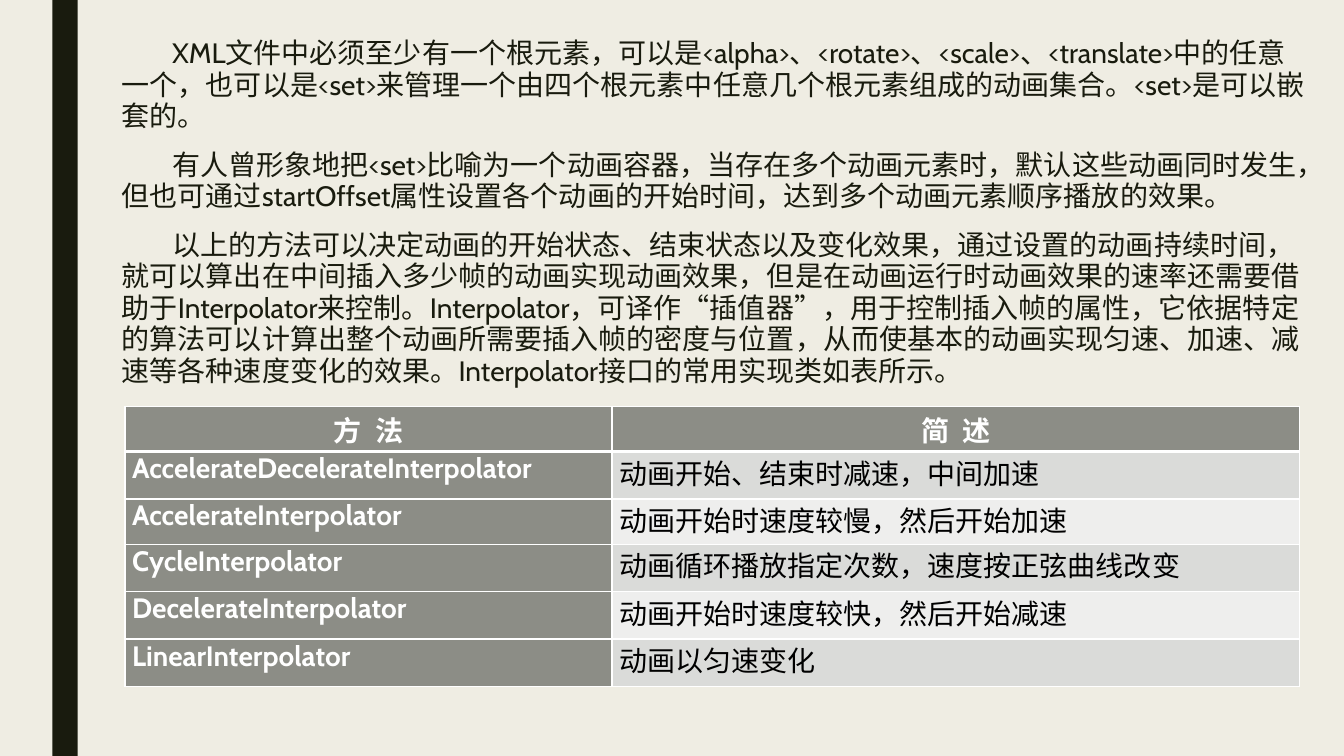
from lxml.etree import SubElement as add_sub
from pptx import Presentation
from pptx.dml.color import RGBColor
from pptx.enum.lang import MSO_LANGUAGE_ID as Lang
from pptx.enum.shapes import MSO_SHAPE as Kind
from pptx.enum.text import MSO_ANCHOR as Anchor, PP_ALIGN as Align
from pptx.oxml.ns import qn
from pptx.util import Inches, Pt

CREAM = RGBColor(0xEF, 0xED, 0xE3)
INK = RGBColor(0x19, 0x1B, 0x0E)
GRAY = RGBColor(0x8C, 0x8D, 0x86)
MID = RGBColor(0xDA, 0xDB, 0xD9)
PALE = RGBColor(0xEE, 0xEE, 0xED)
WHITE = RGBColor(0xFF, 0xFF, 0xFF)
BLACK = RGBColor(0, 0, 0)

NOTES = [
    "XML文件中必须至少有一个根元素，可以是<alpha>、<rotate>、<scale>、<translate>中的任意一个，"
    "也可以是<set>来管理一个由四个根元素中任意几个根元素组成的动画集合。<set>是可以嵌套的。",
    "有人曾形象地把<set>比喻为一个动画容器，当存在多个动画元素时，默认这些动画同时发生，"
    "但也可通过startOffset属性设置各个动画的开始时间，达到多个动画元素顺序播放的效果。",
    "以上的方法可以决定动画的开始状态、结束状态以及变化效果，通过设置的动画持续时间，"
    "就可以算出在中间插入多少帧的动画实现动画效果，但是在动画运行时动画效果的速率还需要"
    "借助于Interpolator来控制。Interpolator，可译作“插值器”，用于控制插入帧的属性，"
    "它依据特定的算法可以计算出整个动画所需要插入帧的密度与位置，从而使基本的动画实现"
    "匀速、加速、减速等各种速度变化的效果。Interpolator接口的常用实现类如表所示。",
]
HEADS = [["方", " ", "法"], ["简", " ", "述"]]
ROWS = [
    ("AccelerateDecelerateInterpolator", "动画开始、结束时减速，中间加速"),
    ("AccelerateInterpolator", "动画开始时速度较慢，然后开始加速"),
    ("CycleInterpolator", "动画循环播放指定次数，速度按正弦曲线改变"),
    ("DecelerateInterpolator", "动画开始时速度较快，然后开始减速"),
    ("LinearInterpolator", "动画以匀速变化"),
]
WIDTHS = [4.83, 6.82]
HEIGHTS = [0.45, 0.47, 0.45, 0.47, 0.47, 0.47]


class Deck:
    font = "Cabin"
    size = Pt(20)

    def __init__(self, wide, high):
        self.prs = Presentation()
        self.prs.slide_width, self.prs.slide_height = Inches(wide), Inches(high)
        self.slide = self.prs.slides.add_slide(self.prs.slide_layouts[6])
        fill = self.slide.background.fill
        fill.solid()
        fill.fore_color.rgb = CREAM

    def bar(self, box, color):
        shape = self.slide.shapes.add_shape(Kind.RECTANGLE, *map(Inches, box))
        shape.shadow.inherit = False
        shape.fill.solid()
        shape.fill.fore_color.rgb = color
        shape.line.fill.background()

    def run(self, para, text, color, bold=False):
        run = para.add_run()
        run.text = text
        font = run.font
        font.name, font.size, font.bold = self.font, self.size, bold
        font.color.rgb = color
        font.language_id = Lang.SIMPLIFIED_CHINESE
        return run

    def prose(self, box, paras):
        frame = self.slide.shapes.add_textbox(*map(Inches, box)).text_frame
        frame.word_wrap = True
        for i, text in enumerate(paras):
            para = frame.add_paragraph() if i else frame.paragraphs[0]
            para.line_spacing = 0.94
            para.space_before, para.space_after = Pt(10), Pt(2)
            # First-line indent
            props = para._p.get_or_add_pPr()
            props.set("marL", "0")
            props.set("indent", str(Inches(0.5)))
            self.run(para, text, INK)

    def edge(self, cell, side, width):
        line = add_sub(cell._tc.get_or_add_tcPr(), qn("a:ln" + side), w=str(Pt(width)))
        fill = add_sub(line, qn("a:solidFill"))
        add_sub(fill, qn("a:srgbClr"), val=str(WHITE))

    def cell(self, cell, texts, row, col):
        head = row == 0
        strong = head or col == 0
        cell.margin_left = cell.margin_right = Inches(0.07)
        cell.margin_top = cell.margin_bottom = 0
        cell.vertical_anchor = Anchor.MIDDLE if head else Anchor.TOP
        thick = {"T": row == 1, "B": head}
        for side in "LRTB":
            self.edge(cell, side, 3 if thick.get(side) else 1)
        cell.fill.solid()
        cell.fill.fore_color.rgb = GRAY if strong else MID if row % 2 else PALE
        para = cell.text_frame.paragraphs[0]
        para.alignment = Align.CENTER if head else Align.JUSTIFY
        for text in texts:
            run = self.run(para, text, WHITE if strong else BLACK, strong)
            if text == " ":  # Widen the gap between the heading characters
                run.font._element.set("spc", "500")

    def table(self, left, top, widths, heights, rows):
        box = map(Inches, (left, top, sum(widths), sum(heights)))
        grid = self.slide.shapes.add_table(len(heights), len(widths), *box).table
        for col, width in zip(grid.columns, widths):
            col.width = Inches(width)
        for r, (height, texts) in enumerate(zip(heights, rows)):
            grid.rows[r].height = Inches(height)
            for c, runs in enumerate(texts):
                self.cell(grid.cell(r, c), runs, r, c)


def main():
    deck = Deck(13.33, 7.5)
    # Side bar
    deck.bar((0.52, 0, 0.25, 7.5), INK)
    # Explanation
    deck.prose((1.11, 0.33, 12, 3.7), NOTES)
    # Interpolator classes
    body = [[[text] for text in row] for row in ROWS]
    deck.table(1.24, 4.03, WIDTHS, HEIGHTS, [HEADS] + body)
    deck.prs.save("out.pptx")


if __name__ == "__main__":
    main()
